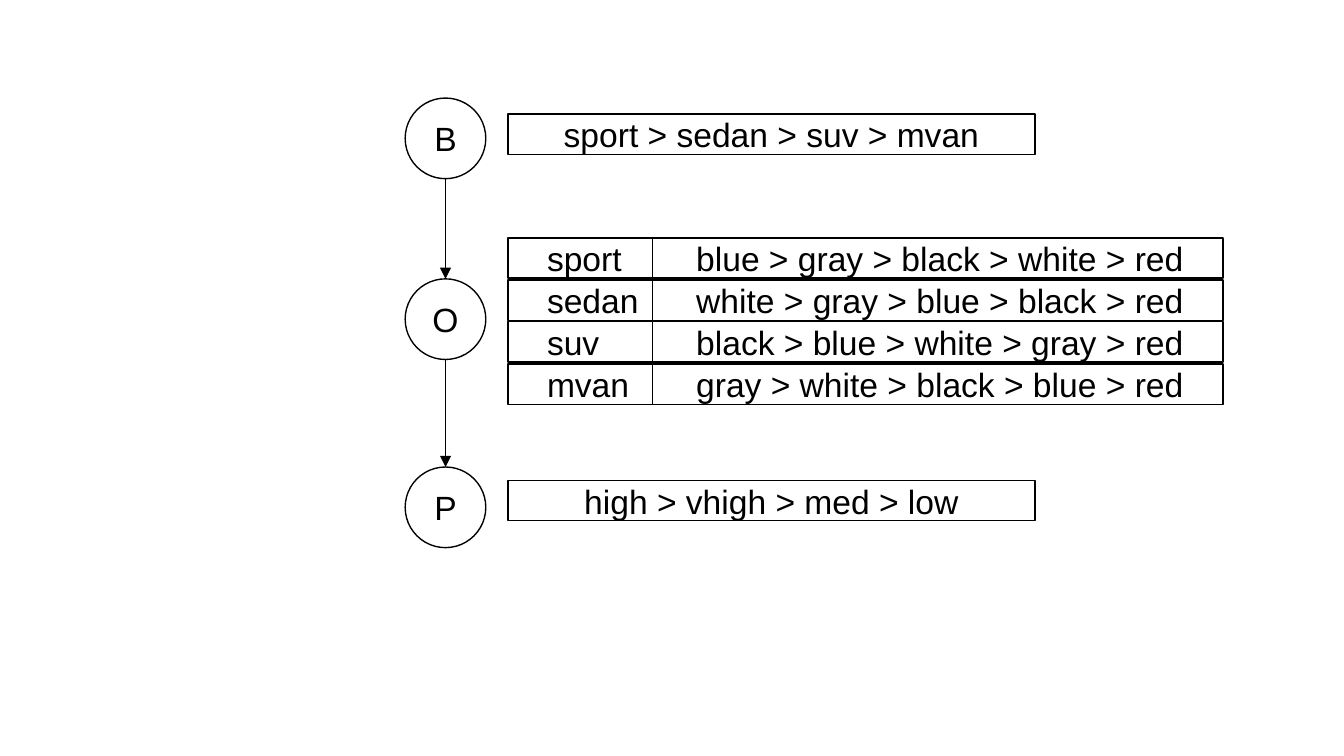
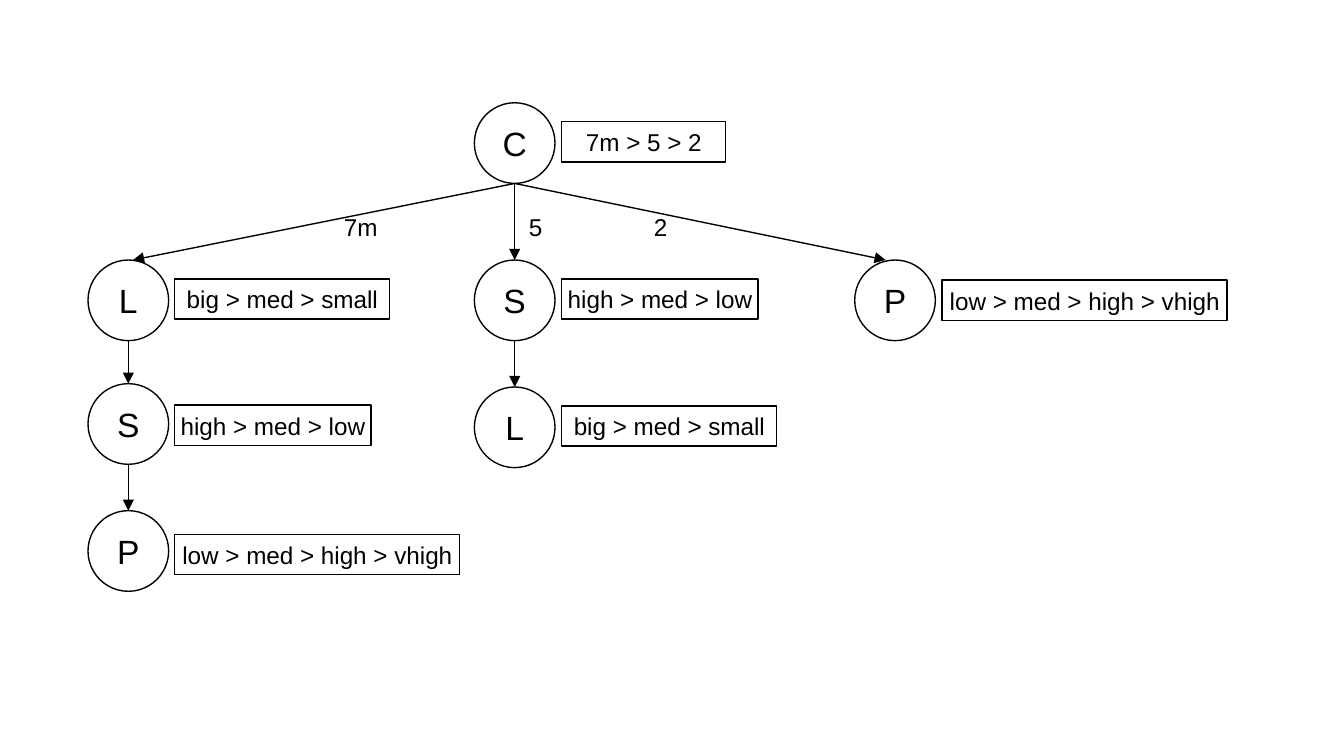
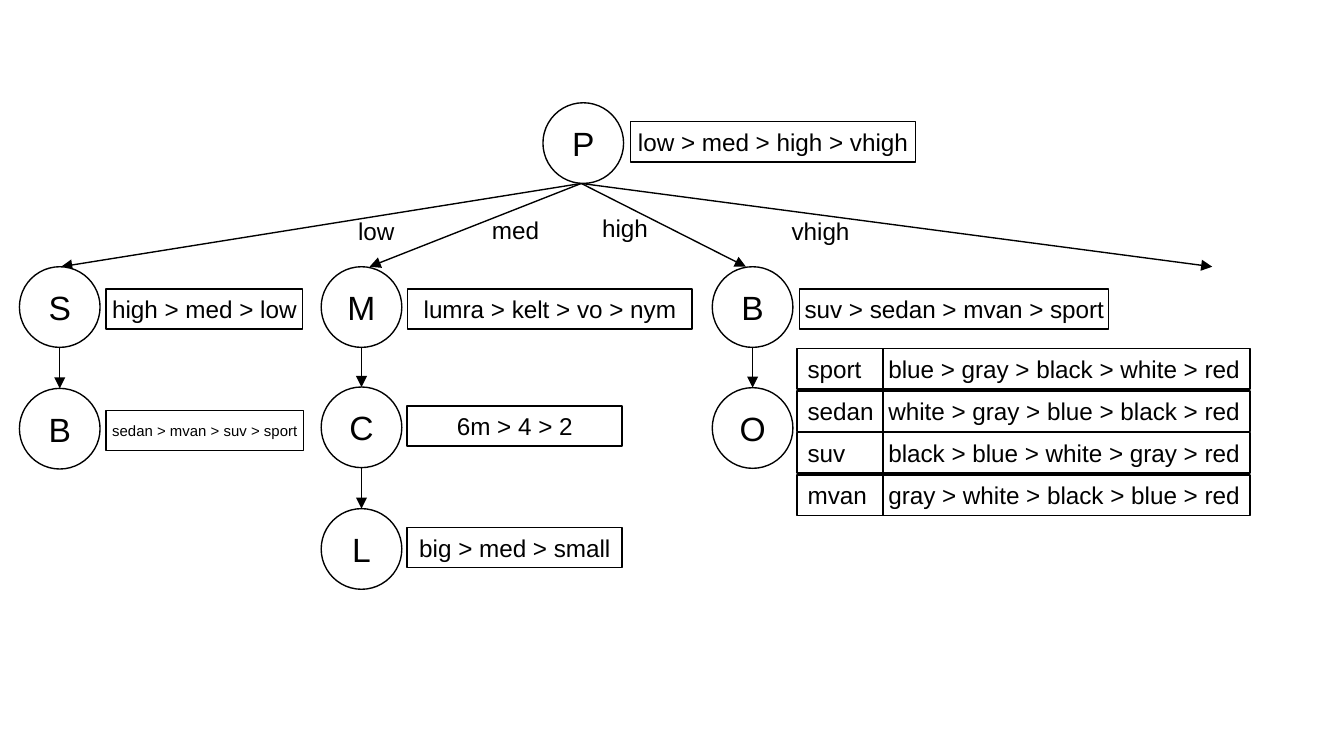
from dataclasses import dataclass

import lxml.etree
import pptx
import pptx.dml.color
import pptx.enum.shapes
import pptx.enum.text
import pptx.oxml.ns
import pptx.util

EMU_PER_PX = 4572
NODE = 120
BOX_HEIGHT = 60
TABLE_SPAN = 188
OVAL = pptx.enum.shapes.MSO_SHAPE.OVAL
RECTANGLE = pptx.enum.shapes.MSO_SHAPE.RECTANGLE


@dataclass(frozen=True)
class Theme:
    ink: pptx.dml.color.RGBColor = pptx.dml.color.RGBColor(0, 0, 0)
    paper: pptx.dml.color.RGBColor = pptx.dml.color.RGBColor(255, 255, 255)
    font: str = "Arial"
    large: int = 18
    medium: int = 13
    small: int = 8
    stroke: float = 0.75


THEME = Theme()


@dataclass
class Variable:
    letter: str
    top: int
    ranking: str = ""
    width: int = 0
    drop: int = 28
    size: int = THEME.medium


def px(length):
    return pptx.util.Emu(length * EMU_PER_PX)


def add_box(slide, kind, text, left, top, width, height, size, outlined=True):
    box = slide.shapes.add_shape(kind, px(left), px(top), px(width), px(height))
    box.shadow.inherit = False
    box.fill.solid()
    box.fill.fore_color.rgb = THEME.paper
    if outlined:
        box.line.color.rgb = THEME.ink
        box.line.width = pptx.util.Pt(THEME.stroke)
    else:
        box.line.fill.background()
    frame = box.text_frame
    frame.word_wrap = False
    frame.vertical_anchor = pptx.enum.text.MSO_ANCHOR.MIDDLE
    paragraph = frame.paragraphs[0]
    paragraph.text = text
    paragraph.alignment = pptx.enum.text.PP_ALIGN.CENTER
    paragraph.font.name = THEME.font
    paragraph.font.size = pptx.util.Pt(size)
    paragraph.font.color.rgb = THEME.ink
    return box


def add_line(slide, start, end, arrow=False):
    line = slide.shapes.add_connector(
        pptx.enum.shapes.MSO_CONNECTOR.STRAIGHT, *map(px, (*start, *end))
    )
    line.line.color.rgb = THEME.ink
    line.line.width = pptx.util.Pt(THEME.stroke)
    if arrow:
        outline = line._element.spPr.find(pptx.oxml.ns.qn("a:ln"))
        lxml.etree.SubElement(outline, pptx.oxml.ns.qn("a:tailEnd"), type="triangle")
    lxml.etree.SubElement(line._element.spPr, pptx.oxml.ns.qn("a:effectLst"))


def add_chain(slide, left, variables, gap=130):
    center = left + NODE // 2
    for upper, lower in zip(variables, variables[1:]):
        add_line(slide, (center, upper.top + NODE), (center, lower.top), arrow=True)
    for variable in variables:
        add_box(slide, OVAL, variable.letter, left, variable.top, NODE, NODE, THEME.large)
        if variable.ranking:
            add_box(slide, RECTANGLE, variable.ranking, left + gap,
                    variable.top + variable.drop, variable.width, BOX_HEIGHT, variable.size)


def add_branches(slide, root, tips, level):
    for tip in tips:
        add_line(slide, root, (tip, level), arrow=True)


def add_branch_labels(slide, labels):
    for text, left, top, width, height in labels:
        add_box(slide, RECTANGLE, text, left, top, width, height, THEME.medium, outlined=False)


def add_conditional_rankings(slide, left, top, width, divider, inset, tab, size):
    rankings = {
        "sport": "blue > gray > black > white > red",
        "sedan": "white > gray > blue > black > red",
        "suv": "black > blue > white > gray > red",
        "mvan": "gray > white > black > blue > red",
    }
    for index, (body, colours) in enumerate(rankings.items()):
        row_top = top + round(index * TABLE_SPAN / (len(rankings) - 1))
        row = add_box(slide, RECTANGLE, f"{body}\t{colours}", left, row_top, width, BOX_HEIGHT, size)
        frame = row.text_frame
        frame.word_wrap = True
        frame.margin_left = px(inset)
        frame.margin_right = 0
        paragraph = frame.paragraphs[0]
        paragraph.alignment = pptx.enum.text.PP_ALIGN.LEFT
        stops = lxml.etree.Element(pptx.oxml.ns.qn("a:tabLst"))
        lxml.etree.SubElement(stops, pptx.oxml.ns.qn("a:tab"), pos=str(px(tab)), algn="l")
        paragraph._p.get_or_add_pPr().insert(0, stops)
        add_line(slide, (divider, row_top), (divider, row_top + BOX_HEIGHT))


def build_body_chain(slide):
    add_chain(slide, 603, [
        Variable("B", 146, "sport > sedan > suv > mvan", 784, 24, THEME.large),
        Variable("O", 415),
        Variable("P", 695, "high > vhigh > med > low", 784, 20, THEME.large),
    ], gap=153)
    add_conditional_rankings(slide, 756, 354, 1064, 971, inset=58, tab=222, size=THEME.large)


def build_capacity_tree(slide):
    add_branch_labels(slide, [
        ("7m", 500, 326, 74, 24),
        ("5", 776, 326, 42, 24),
        ("2", 964, 326, 38, 24),
    ])
    add_branches(slide, (766, 273), (198, 766, 1318), 387)
    add_chain(slide, 706, [Variable("C", 153, "7m > 5 > 2", 244)])
    add_chain(slide, 131, [
        Variable("L", 387, "big > med > small", 320),
        Variable("S", 571, "high > med > low", 292, 32),
        Variable("P", 760, "low > med > high > vhigh", 424, 35),
    ], gap=129)
    add_chain(slide, 706, [
        Variable("S", 387, "high > med > low", 292),
        Variable("L", 576, "big > med > small", 320),
    ])
    add_chain(slide, 1272, [Variable("P", 387, "low > med > high > vhigh", 424, 30)])


def build_price_tree(slide):
    add_branches(slide, (865, 273), (91, 550, 1110, 1804), 397)
    add_chain(slide, 808, [Variable("P", 153, "low > med > high > vhigh", 424)])
    add_chain(slide, 29, [
        Variable("S", 397, "high > med > low", 292, 33),
        Variable("B", 578, "sedan > mvan > suv > sport", 294, 33, THEME.small),
    ], gap=129)
    add_chain(slide, 478, [
        Variable("M", 397, "lumra > kelt > vo > nym", 424, 33),
        Variable("C", 576, "6m > 4 > 2", 320),
        Variable("L", 757, "big > med > small", 320),
    ], gap=128)
    add_chain(slide, 1060, [
        Variable("B", 397, "suv > sedan > mvan > sport", 460, 33),
        Variable("O", 577),
    ])
    add_branch_labels(slide, [
        ("low", 523, 332, 74, 24),
        ("med", 729, 329, 76, 26),
        ("high", 889, 332, 82, 14),
        ("vhigh", 1180, 336, 82, 14),
    ])
    add_conditional_rankings(slide, 1186, 519, 674, 1314, inset=16, tab=120, size=THEME.medium)


def main():
    deck = pptx.Presentation()
    deck.slide_width = px(2000)
    deck.slide_height = px(1125)
    blank = deck.slide_layouts[6]
    for build in (build_body_chain, build_capacity_tree, build_price_tree):
        build(deck.slides.add_slide(blank))
    deck.save("out.pptx")


if __name__ == "__main__":
    main()
